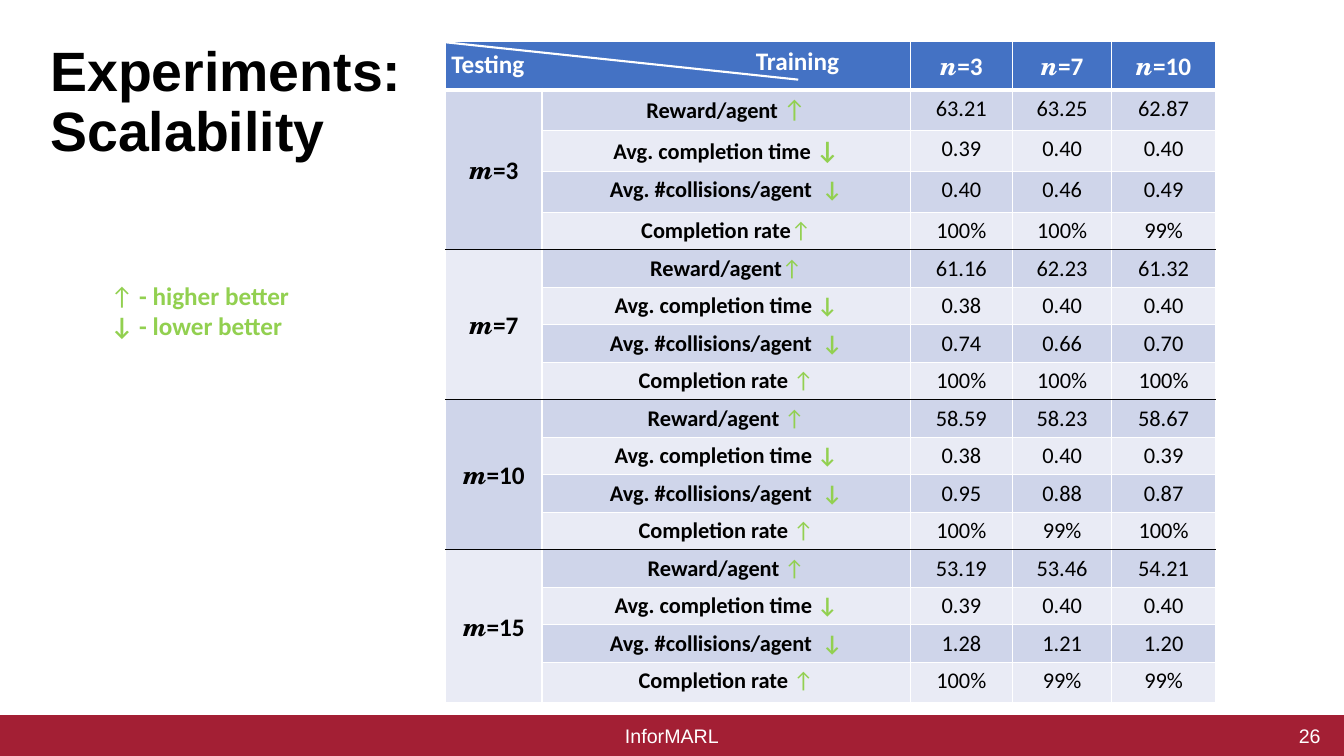
from dataclasses import dataclass

from lxml import etree
from pptx import Presentation
from pptx.dml.color import RGBColor
from pptx.enum.shapes import MSO_CONNECTOR, MSO_SHAPE
from pptx.enum.text import MSO_ANCHOR, PP_ALIGN
from pptx.oxml.ns import qn
from pptx.util import Pt

LEFT, CENTER, RIGHT = PP_ALIGN.LEFT, PP_ALIGN.CENTER, PP_ALIGN.RIGHT
TOP, MIDDLE = MSO_ANCHOR.TOP, MSO_ANCHOR.MIDDLE

TITLE = "Experiments: Scalability"
FOOTER, PAGE = "InforMARL", "26"
TRAINING = ["3", "7", "10"]
UP, DOWN = "↑", "↓"

# Testing size, then (metric, arrow, values for each training size)
RESULTS = [
    ("3", [("Reward/agent ", UP, ["63.21", "63.25", "62.87"]),
           ("Avg. completion time ", DOWN, ["0.39", "0.40", "0.40"]),
           ("Avg. #collisions/agent  ", DOWN, ["0.40", "0.46", "0.49"]),
           ("Completion rate", UP, ["100%", "100%", "99%"])]),
    ("7", [("Reward/agent", UP, ["61.16", "62.23", "61.32"]),
           ("Avg. completion time ", DOWN, ["0.38", "0.40", "0.40"]),
           ("Avg. #collisions/agent  ", DOWN, ["0.74", "0.66", "0.70"]),
           ("Completion rate ", UP, ["100%", "100%", "100%"])]),
    ("10", [("Reward/agent ", UP, ["58.59", "58.23", "58.67"]),
            ("Avg. completion time ", DOWN, ["0.38", "0.40", "0.39"]),
            ("Avg. #collisions/agent  ", DOWN, ["0.95", "0.88", "0.87"]),
            ("Completion rate ", UP, ["100%", "99%", "100%"])]),
    ("15", [("Reward/agent ", UP, ["53.19", "53.46", "54.21"]),
            ("Avg. completion time ", DOWN, ["0.39", "0.40", "0.40"]),
            ("Avg. #collisions/agent  ", DOWN, ["1.28", "1.21", "1.20"]),
            ("Completion rate ", UP, ["100%", "99%", "99%"])]),
]
GROUP = 4  # metrics per testing size
COL_WIDTHS = [69, 263, 73, 71, 74]
ROW_HEIGHTS = [34.3] + [29.2] * 3 + [26.8] * 12 + [28.8]


@dataclass(frozen=True)
class Theme:
    white: str = "FFFFFF"
    black: str = "000000"
    crimson: str = "A31F34"
    header: str = "4472C4"
    band_dark: str = "CFD5EA"
    band_light: str = "E9EBF5"
    green: str = "92D050"
    sans: str = "Arial"
    body: str = "Calibri"
    math: str = "TeX Gyre Schola"
    title_size: float = 39.6
    large: int = 18
    value: int = 16
    footer: int = 14


T = Theme()


def add_run(p, text, size, color, bold=False, italic=False, font=T.body):
    r = p.add_run()
    r.text = text
    r.font.name, r.font.size = font, Pt(size)
    r.font.bold, r.font.italic = bold, italic
    r.font.color.rgb = RGBColor.from_string(color)


def add_variable(p, letter, number, color):
    add_run(p, letter, T.large, color, True, True, T.math)
    add_run(p, "=" + number, T.large, color, True)


def add_text(s, box, align=LEFT, anchor=TOP, wrap=True):
    tf = s.shapes.add_textbox(*map(Pt, box)).text_frame
    tf.word_wrap, tf.vertical_anchor = wrap, anchor
    tf.paragraphs[0].alignment = align
    return tf


def row_edge(i):
    """Colour and width of the horizontal rule above table row i."""
    if i == 1:
        return T.white, 3
    inside = 1 < i < len(ROW_HEIGHTS)
    return (T.black if inside and i % GROUP == 1 else T.white), 1


def format_cell(cell, fill, top, bottom):
    tcPr = cell._tc.get_or_add_tcPr()
    side = (T.white, 1)
    for tag, (color, width) in zip(("lnL", "lnR", "lnT", "lnB"),
                                   (side, side, row_edge(top), row_edge(bottom))):
        ln = etree.SubElement(tcPr, qn("a:" + tag), w=str(Pt(width)))
        solid = etree.SubElement(ln, qn("a:solidFill"))
        etree.SubElement(solid, qn("a:srgbClr"), val=color)
    cell.fill.solid()
    cell.fill.fore_color.rgb = RGBColor.from_string(fill)
    p = cell.text_frame.paragraphs[0]
    p.alignment = CENTER
    return p


def add_results(s):
    rows, cols = len(ROW_HEIGHTS), len(COL_WIDTHS)
    table = s.shapes.add_table(rows, cols, Pt(318.2), Pt(29.8),
                               Pt(sum(COL_WIDTHS)), Pt(sum(ROW_HEIGHTS))).table
    table.horz_banding = False
    for col, width in zip(table.columns, COL_WIDTHS):
        col.width = Pt(width)
    for row, height in zip(table.rows, ROW_HEIGHTS):
        row.height = Pt(height)

    for c in range(cols):
        p = format_cell(table.cell(0, c), T.header, 0, 1)
        if c >= 2:
            add_variable(p, "n", TRAINING[c - 2], T.white)
    table.cell(0, 0).merge(table.cell(0, 1))

    bands = (T.band_dark, T.band_light)
    for g, (size, metrics) in enumerate(RESULTS):
        first = 1 + g * GROUP
        testing = table.cell(first, 0)
        add_variable(format_cell(testing, bands[g % 2], first, first + GROUP),
                     "m", size, T.black)
        testing.vertical_anchor = MIDDLE
        testing.merge(table.cell(first + GROUP - 1, 0))
        for i, (metric, arrow, values) in enumerate(metrics):
            row = first + i
            p = format_cell(table.cell(row, 1), bands[i % 2], row, row + 1)
            add_run(p, metric, T.value, T.black, True)
            add_run(p, arrow, T.large if row <= 2 else T.value, T.green, arrow == DOWN)
            for c, value in enumerate(values, 2):
                p = format_cell(table.cell(row, c), bands[i % 2], row, row + 1)
                add_run(p, value, T.value, T.black)


def add_header_split(s):
    line = s.shapes.add_connector(MSO_CONNECTOR.STRAIGHT,
                                  Pt(318.2), Pt(30.2), Pt(570.2), Pt(56.9))
    line.line.color.rgb = RGBColor.from_string(T.white)
    line.line.width = Pt(1.5)
    etree.SubElement(line._element.spPr, qn("a:effectLst"))
    for text, box, align in (("Training", (532.8, 28.8, 74.2, 29), LEFT),
                             ("Testing", (306, 31, 85, 29), CENTER)):
        add_run(add_text(s, box, align).paragraphs[0], text, T.large, T.white, True)


def add_legend(s):
    tf = add_text(s, (72, 196.6, 143.3, 51), wrap=False)
    p = tf.paragraphs[0]
    add_run(p, UP, T.large, T.green)
    add_run(p, " - higher better", T.large, T.green, True)
    add_run(tf.add_paragraph(), DOWN + " - lower better", T.large, T.green, True)


def add_footer(s):
    bar = s.shapes.add_shape(MSO_SHAPE.RECTANGLE, 0, Pt(511.2), Pt(960), Pt(28.8))
    bar.shadow.inherit = False
    bar.fill.solid()
    bar.fill.fore_color.rgb = bar.line.color.rgb = RGBColor.from_string(T.crimson)
    bar.line.width = Pt(1)
    for text, left, width, align in ((FOOTER, 318, 324, CENTER), (PAGE, 734.4, 216, RIGHT)):
        tf = add_text(s, (left, 511.2, width, 28.8), align, MIDDLE)
        add_run(tf.paragraphs[0], text, T.footer, T.white, font=T.sans)


def add_title(s):
    title = s.shapes.title
    title.left, title.top, title.width, title.height = map(Pt, (28.8, 61.9, 303, 23.8))
    tf = title.text_frame
    tf.word_wrap, tf.vertical_anchor = True, MIDDLE
    p = tf.paragraphs[0]
    p.alignment, p.line_spacing = LEFT, 0.9
    add_run(p, TITLE, T.title_size, T.black, True, font=T.sans)


def main():
    prs = Presentation()
    prs.slide_width, prs.slide_height = Pt(960), Pt(540)
    s = prs.slides.add_slide(prs.slide_layouts[5])
    add_footer(s)
    add_title(s)
    add_results(s)
    add_header_split(s)
    add_legend(s)
    prs.save("out.pptx")


if __name__ == "__main__":
    main()
